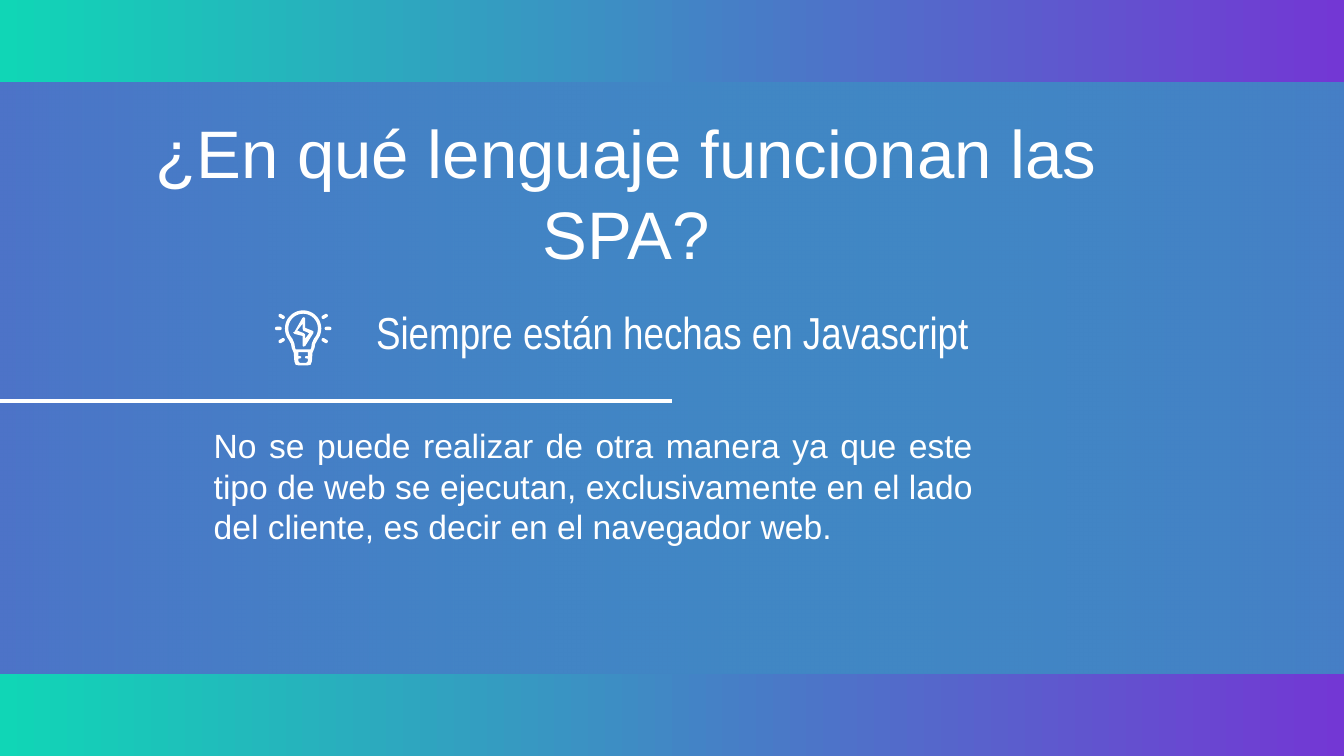
from math import cos, sin, radians
from lxml.etree import SubElement
from pptx import Presentation
from pptx.dml.color import RGBColor
from pptx.enum.shapes import MSO_CONNECTOR as Connector, MSO_SHAPE as Shape
from pptx.enum.text import MSO_ANCHOR as Anchor, MSO_AUTO_SIZE as AutoSize, PP_ALIGN as Align
from pptx.oxml.ns import qn
from pptx.util import Cm, Pt

COLORS = {"green": "10D6B6", "violet": "7337D4", "white": "FFFFFF"}
WIDTH, HEIGHT = 25.4, 14.29
BAND_TOP, BAND_HEIGHT = 1.56, 11.18
RULE_Y = 7.58

# text, (left, top, width, height) in cm, font, size, alignment, anchor, inset, autosize
TEXTS = [
    ("¿En qué lenguaje funcionan las SPA?", (1.33, 2.08, 21.01, 3.33),
     "Arial", 36, Align.CENTER, Anchor.BOTTOM, (0.25, 0.25), AutoSize.NONE),
    ("Siempre están hechas en Javascript", (6.43, 5.51, 12.55, 1.65),
     "Arial Narrow", 24, Align.CENTER, Anchor.TOP, (0.25, 0.25), AutoSize.NONE),
    ("No se puede realizar de otra manera ya que este tipo de web se ejecutan, "
     "exclusivamente en el lado del cliente, es decir en el navegador web.",
     (3.79, 7.91, 14.85, 2.57),
     "Arial", 18, Align.JUSTIFY, Anchor.TOP, (0.25, 0.13), AutoSize.SHAPE_TO_FIT_TEXT),
]

# Icon points are offsets from the centre of the bulb, in icon units
ICON_CENTER = (5.73, 6.21)
ICON_UNIT = 0.0254
GLASS_SIDE = [(6.5, 11), (6, 14.5), (5.5, 15.5)]
BULB_SIDE = [(9, 11.5), (8.5, 14.5), (7, 18), (6.5, 24.5), (5.5, 27), (3, 27.5)]
BASE_SIDE = [(3.5, 17.5), (3.5, 20.5), (1.5, 20.7), (1.5, 22),
             (3.5, 22.5), (3.5, 24.5), (2.5, 25.5)]
BOLT = [(0.5, -8.5), (-0.5, -8), (-6.5, 2.5), (-7.5, 3), (-6.5, 4), (-0.5, 5.5),
        (-0.5, 12.5), (0, 13.5), (1.5, 13), (7.5, 3.5), (7.5, 2), (6.5, 1.5),
        (1.5, -0.5), (1.5, -7.5)]
BOLT_HOLE = [(-0.5, -3.5), (-0.5, -0.5), (0, 1.5), (4.5, 3.5),
             (1.5, 7.5), (1.5, 4.5), (0.5, 3.5), (-4.5, 1.5)]
RAYS = [(side * x, y, side * angle) for side in (1, -1)
        for x, y, angle in [(18.5, 0, 0), (16, -9, -30), (16, 9, 30)]]


def color(name):
    return RGBColor.from_string(COLORS[name])


def paint_gradient(fill, stops):
    """Fill from left to right with two (colour, opacity in percent) stops."""
    fill.gradient()
    fill.gradient_angle = 0
    for stop, (name, opacity), position in zip(fill.gradient_stops, stops, (0, 1)):
        stop.position = position
        stop.color.rgb = color(name)
    for tint, (name, opacity) in zip(fill._fill._gradFill.iter(qn("a:srgbClr")), stops):
        if opacity < 100:
            SubElement(tint, qn("a:alpha")).set("val", str(opacity * 1000))


def arc(radius, start, end, step=6):
    return [(radius * cos(radians(a)), radius * sin(radians(a)))
            for a in range(start, end + 1, step)]


def mirrored(side):
    """Close a right-hand profile with its reflection."""
    return side + [(-x, y) for x, y in reversed(side)]


def ray(x, y, angle):
    """Outline of a short rounded stroke."""
    right = [(1.2 + px, py) for px, py in arc(1.3, -90, 90, 15)]
    capsule = right + [(-px, -py) for px, py in right]
    c, s = cos(radians(angle)), sin(radians(angle))
    return [(x + px * c - py * s, y + px * s + py * c) for px, py in capsule]


def add_outline(shapes, contours):
    placed = [[(Cm(ICON_CENTER[0] + x * ICON_UNIT), Cm(ICON_CENTER[1] + y * ICON_UNIT))
               for x, y in contour] for contour in contours]
    builder = shapes.build_freeform(*placed[0][0])
    for number, contour in enumerate(placed):
        if number:
            builder.move_to(*contour[0])
        builder.add_line_segments(contour[1:], close=True)
    outline = builder.convert_to_shape()
    outline.shadow.inherit = False
    outline.fill.solid()
    outline.fill.fore_color.rgb = color("white")
    outline.line.fill.background()


def add_text(page, text, place, font, size, align, anchor, inset, autosize):
    box = page.shapes.add_textbox(*map(Cm, place))
    frame = box.text_frame
    frame.text = text
    frame.word_wrap = True
    frame.auto_size = autosize
    frame.vertical_anchor = anchor
    frame.margin_left = frame.margin_right = Cm(inset[0])
    frame.margin_top = frame.margin_bottom = Cm(inset[1])
    para = frame.paragraphs[0]
    para.alignment = align
    span = para.runs[0]
    span.font.name = font
    span.font.size = Pt(size)
    span.font.color.rgb = color("white")


def main():
    deck = Presentation()
    deck.slide_width, deck.slide_height = Cm(WIDTH), Cm(HEIGHT)
    page = deck.slides.add_slide(deck.slide_layouts[6])
    paint_gradient(page.background.fill, [("green", 71), ("violet", 100)])

    band = page.shapes.add_shape(Shape.RECTANGLE, 0, Cm(BAND_TOP), Cm(WIDTH), Cm(BAND_HEIGHT))
    band.shadow.inherit = False
    band.line.fill.background()
    paint_gradient(band.fill, [("violet", 62), ("green", 46)])

    rule = page.shapes.add_connector(
        Connector.STRAIGHT, 0, Cm(RULE_Y), Cm(WIDTH / 2), Cm(RULE_Y))
    rule.line.color.rgb = color("white")
    rule.line.width = Pt(2.25)
    SubElement(rule._element.spPr, qn("a:effectLst"))

    for item in TEXTS:
        add_text(page, *item)

    icon = page.shapes.add_group_shape()
    add_outline(icon.shapes, [mirrored(arc(13.5, -90, 36) + BULB_SIDE),
                              mirrored(arc(11, -90, 42) + GLASS_SIDE),
                              mirrored(BASE_SIDE)])
    add_outline(icon.shapes, [BOLT, BOLT_HOLE])
    for stroke in RAYS:
        add_outline(icon.shapes, [ray(*stroke)])

    deck.save("out.pptx")


if __name__ == "__main__":
    main()
